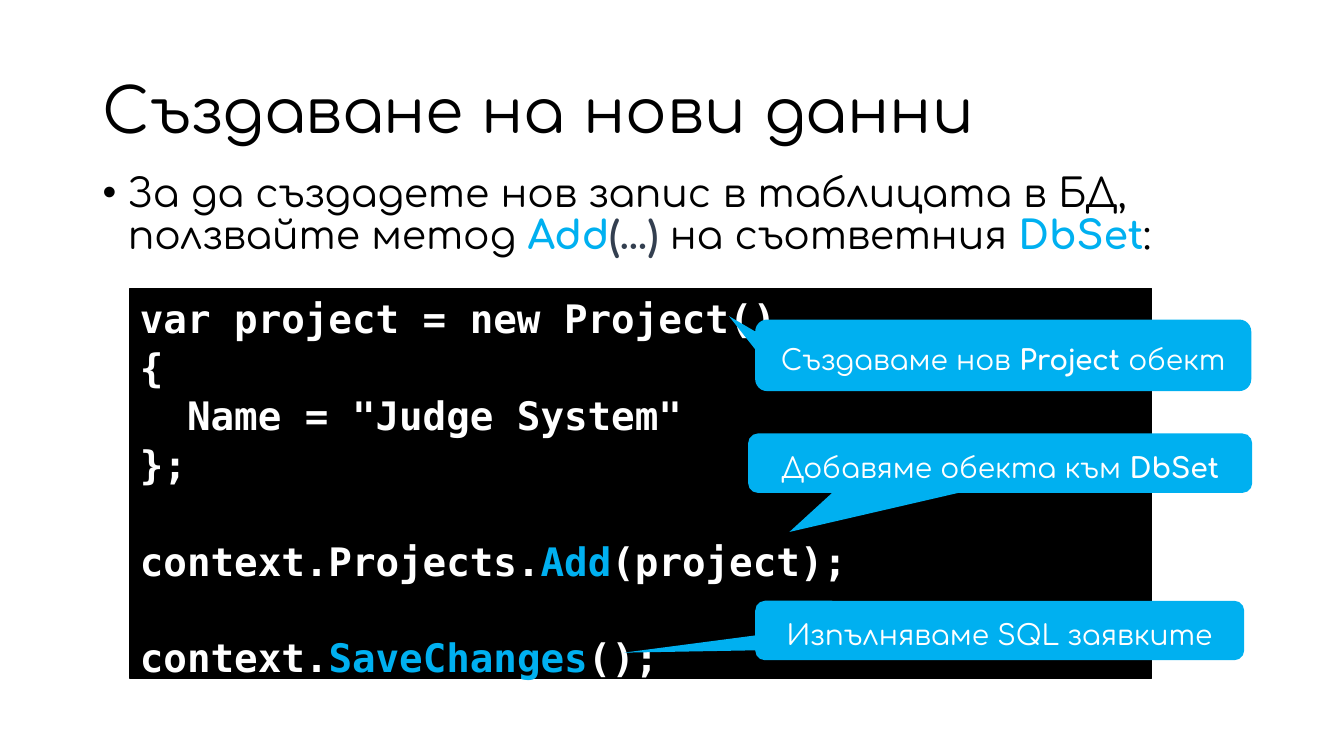
from lxml import etree
from pptx import Presentation
from pptx import util as u
from pptx.dml.color import RGBColor
from pptx.enum import shapes, text
from pptx.oxml.ns import qn

PX = 9144  # 100 px to the inch
COLOURS = {"black": "000000", "white": "FFFFFF", "blue": "00B0F0", "slate": "333F50"}
BODY_FONT, CODE_FONT = "Comfortaa", "DejaVu Sans Mono"


def px(*lengths):
    return [length * PX for length in lengths]


def write(para, content, size, font=BODY_FONT, colour="black", bold=False):
    span = para.add_run()
    span.text = content
    span.font.size = u.Pt(size)
    span.font.name = font
    span.font.bold = bold
    span.font.color.rgb = RGBColor.from_string(COLOURS[colour])


deck = Presentation()
deck.slide_width, deck.slide_height = px(1333, 750)
page = deck.slides.add_slide(deck.slide_layouts[5])

# Title
title = page.shapes.title
title.left, title.top, title.width, title.height = px(92, 40, 1150, 145)
title.text_frame.vertical_anchor = text.MSO_ANCHOR.MIDDLE
title.text_frame.auto_size = text.MSO_AUTO_SIZE.NONE
para = title.text_frame.paragraphs[0]
para.alignment = text.PP_ALIGN.LEFT
para.line_spacing = 0.9
write(para, "Създаване на нови данни", 44)

# Bulleted explanation
body = page.shapes.add_textbox(*px(92, 167, 1150, 476))
body.text_frame.word_wrap = True
para = body.text_frame.paragraphs[0]
para.line_spacing = 0.9
props = para._p.get_or_add_pPr()
props.set("marL", str(25 * PX))
props.set("indent", str(-25 * PX))
etree.SubElement(props, qn("a:buFont")).set("typeface", "Arial")
etree.SubElement(props, qn("a:buChar")).set("char", "•")
for content, colour, bold in [
    ("За да създадете нов запис в таблицата в БД, ползвайте метод ", "black", False),
    ("Add", "blue", True),
    ("(…)", "slate", True),
    (" на съответния ", "black", False),
    ("DbSet", "blue", True),
    (":", "black", False),
]:
    write(para, content, 28, colour=colour, bold=bold)

# Code panel
panel = page.shapes.add_shape(shapes.MSO_SHAPE.RECTANGLE, *px(129, 286, 1013, 387))
panel.shadow.inherit = False
panel.fill.solid()
panel.fill.fore_color.rgb = RGBColor.from_string(COLOURS["black"])
panel.line.color.rgb = RGBColor.from_string(COLOURS["black"])
panel.line.width = u.Pt(1)
frame = panel.text_frame
frame.word_wrap = True
frame.vertical_anchor = text.MSO_ANCHOR.TOP
code_lines = [
    [("var project = new Project()", "white")],
    [("{", "white")],
    [('  Name = "Judge System"', "white")],
    [("};", "white")],
    [],
    [("context.Projects.", "white"), ("Add", "blue"), ("(project);", "white")],
    [],
    [("context.", "white"), ("SaveChanges", "blue"), ("();", "white")],
]
for number, spans in enumerate(code_lines):
    para = frame.add_paragraph() if number else frame.paragraphs[0]
    para.alignment = text.PP_ALIGN.LEFT
    para.line_spacing = 1.03
    for content, colour in spans:
        write(para, content, 28, CODE_FONT, colour, bold=True)
    if not spans:  # an empty code line keeps the height of the others
        end = etree.SubElement(para._p, qn("a:endParaRPr"), sz="2800", b="1")
        etree.SubElement(end, qn("a:latin")).set("typeface", CODE_FONT)

# Callouts: place, pointer tip, text spans with their weight
callouts = [
    ((749, 596, 485, 59), (-0.769, 0.373), [("Изпълняваме SQL заявките", False)]),
    ((749, 317, 492, 71), (-0.553, -0.548),
     [("Създаваме нов ", False), ("Project ", True), ("обект", False)]),
    ((742, 430, 500, 59), (-0.418, 1.156),
     [("Добавяме обекта към ", False), ("DbSet", True)]),
]
for place, tip, spans in callouts:
    callout = page.shapes.add_shape(shapes.MSO_SHAPE.ROUNDED_RECTANGULAR_CALLOUT, *px(*place))
    callout.adjustments[0], callout.adjustments[1] = tip
    callout.shadow.inherit = False
    callout.fill.solid()
    callout.fill.fore_color.rgb = RGBColor.from_string(COLOURS["blue"])
    callout.line.fill.background()
    callout.text_frame.word_wrap = True
    callout.text_frame.vertical_anchor = text.MSO_ANCHOR.MIDDLE
    para = callout.text_frame.paragraphs[0]
    para.alignment = text.PP_ALIGN.CENTER
    para.line_spacing = u.Pt(30)
    for content, bold in spans:
        write(para, content, 20, colour="white", bold=bold)

deck.save("out.pptx")
